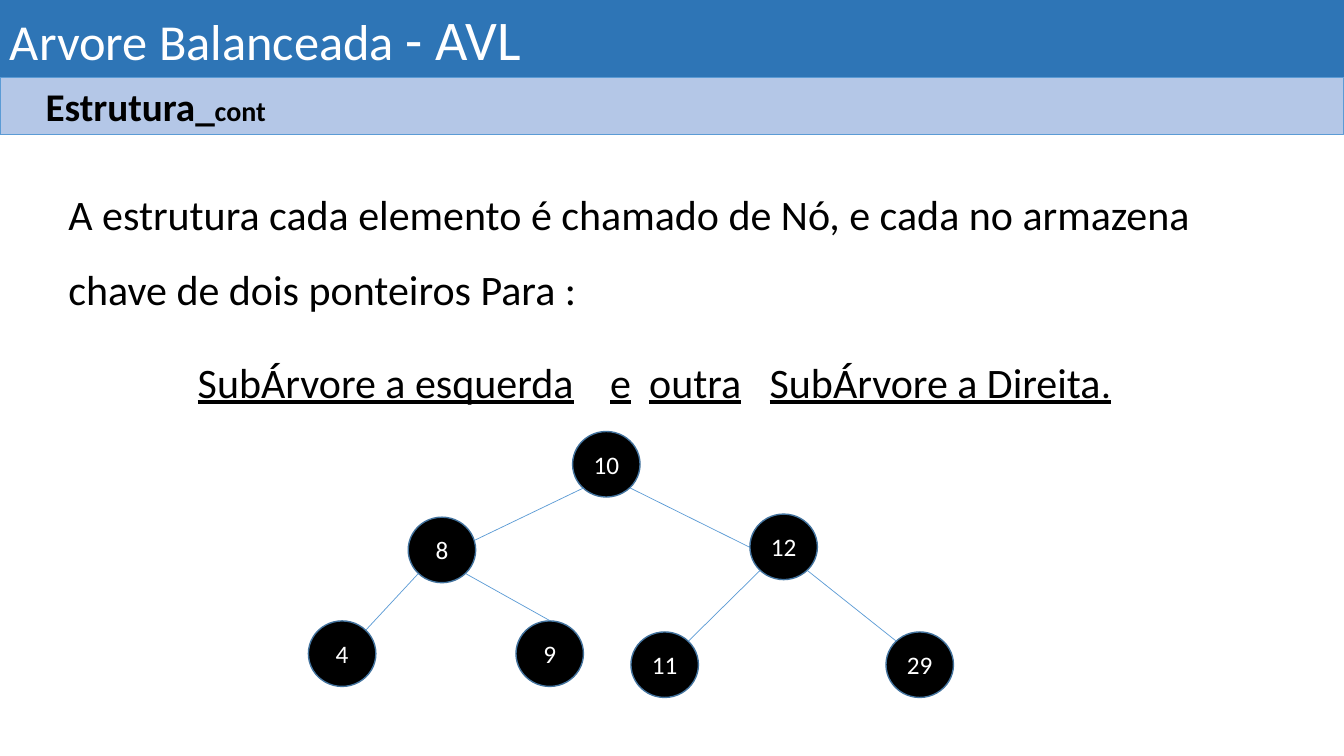
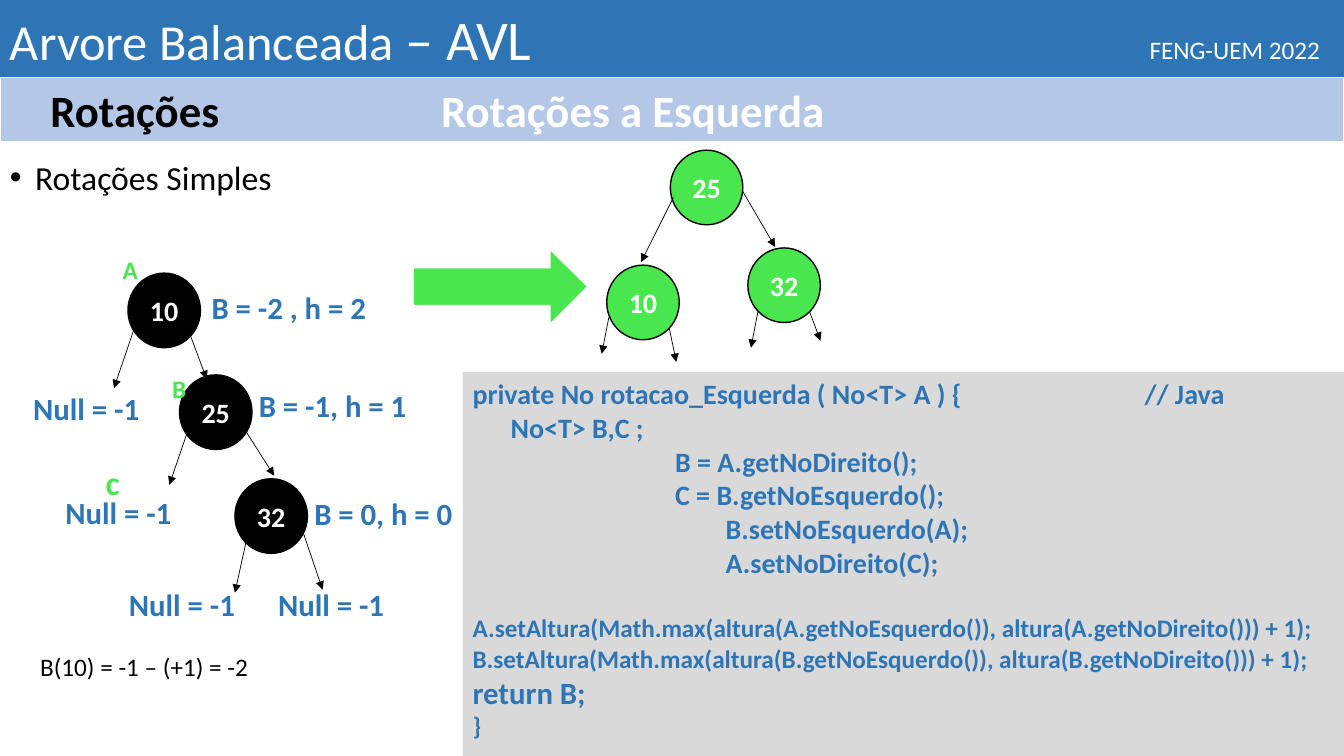
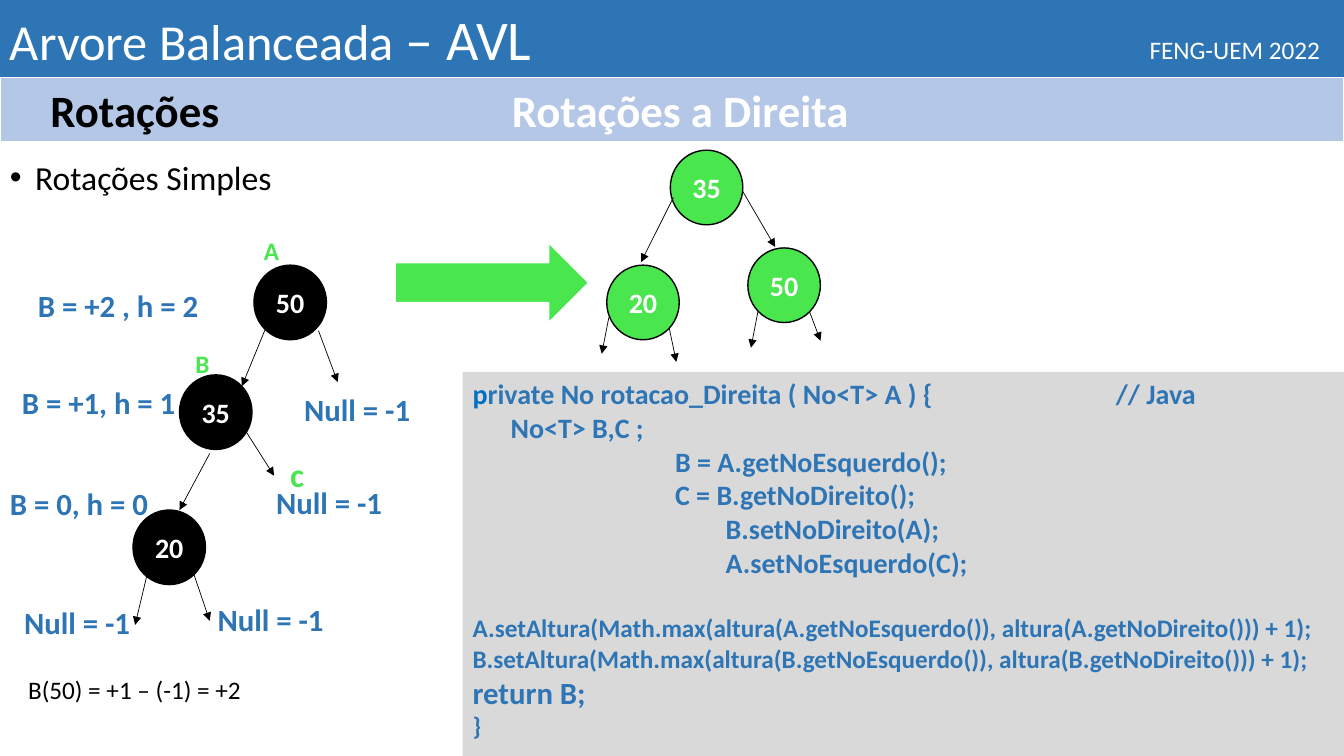
"""Builds three slides on AVL trees: node structure, left rotation and right rotation."""
from dataclasses import dataclass
from typing import NamedTuple

import lxml.etree
import pptx
import pptx.dml.color
import pptx.enum.shapes
import pptx.enum.text
import pptx.oxml.ns
import pptx.util

Pt = pptx.util.Pt
qn = pptx.oxml.ns.qn
SHAPE = pptx.enum.shapes.MSO_SHAPE
ANCHOR = pptx.enum.text.MSO_ANCHOR
ALIGN = pptx.enum.text.PP_ALIGN

FONT = "Calibri"
WIDTH, HEIGHT = 960, 540
BAND_HEIGHT = 55.4
BLUE, PALE_BLUE, EDGE_BLUE, NODE_BLUE = "2E75B6", "B4C7E7", "5B9BD5", "43739E"
BLACK, WHITE, GREEN, GREY, BRIGHT_BLUE = "000000", "FFFFFF", "4AE64E", "D9D9D9", "0070C0"


class Box(NamedTuple):
    left: float
    top: float
    width: float
    height: float


class Edge(NamedTuple):
    x1: float
    y1: float
    x2: float
    y2: float


class Run(NamedTuple):
    text: str
    size: float
    color: str = BLACK
    bold: bool = False
    underline: bool = False


class Label(NamedTuple):
    text: str
    left: float
    top: float


class Node(NamedTuple):
    text: str
    left: float
    top: float


@dataclass(frozen=True)
class Line:
    runs: tuple[Run, ...]
    spacing: float = 1.0
    before: float = 0
    tabs: tuple[float, ...] = ()
    bullet: str = ""
    align: ALIGN = ALIGN.LEFT


@dataclass(frozen=True)
class NodeStyle:
    width: float
    height: float
    fill: str
    outline: str
    size: float
    bold: bool


@dataclass(frozen=True)
class Rotation:
    heading: str
    heading_left: float
    nodes: tuple[Node, ...]
    edges: tuple[Edge, ...]
    balances: tuple[Label, ...]
    markers: tuple[Label, ...]
    formula: Label
    arrow: Box
    rotated_keys: tuple[str, str, str]
    signature: tuple[Run, ...]
    comment_tab: float
    first_side: str
    second_side: str


STRUCTURE_NODE = NodeStyle(48.2, 46.8, BLACK, NODE_BLUE, 18, False)
BEFORE_NODE = NodeStyle(51.8, 53.3, BLACK, BLACK, 20, True)
AFTER_NODE = NodeStyle(51.8, 53.3, GREEN, BLACK, 20, True)

STRUCTURE_TREE = (
    Node("10", 409, 308.2), Node("8", 291.6, 369.4), Node("12", 535.7, 367.2),
    Node("4", 220.3, 443.5), Node("9", 368.6, 443.5),
    Node("11", 450.7, 451.4), Node("29", 632.9, 451.4),
)
STRUCTURE_EDGES = (
    Edge(339.1, 385.9, 416.9, 348.5), Edge(535.7, 391, 450, 348.5),
    Edge(261.4, 450, 298.8, 409.7), Edge(393.1, 443.5, 332.6, 409.7),
    Edge(491.8, 457.9, 542.9, 407.5), Edge(640.1, 457.9, 576.7, 407.5),
)
ROTATED_PLACES = ((478.8, 107.3), (433.4, 189.4), (534.2, 177.1))
ROTATED_EDGES = (
    Edge(530.6, 136.8, 553.7, 176.4), Edge(481, 141.1, 457.9, 187.2),
    Edge(578.2, 222.5, 586.1, 243.4), Edge(541.4, 222.5, 536.4, 248.4),
    Edge(434.9, 226.8, 429.8, 252.7), Edge(478.1, 234.7, 483.1, 258.5),
)

ROTATIONS = (
    Rotation(
        heading="Rotações a Esquerda",
        heading_left=308,
        nodes=(Node("10", 91.4, 195.1), Node("25", 128.2, 267.8), Node("32", 167.8, 342)),
        edges=(
            Edge(133.9, 234, 147.6, 270.7), Edge(175.7, 308.2, 195.8, 339.8),
            Edge(140.4, 289.4, 121, 346.3), Edge(100.8, 220.3, 81.4, 277.2),
            Edge(175.7, 387.4, 167.8, 423.4), Edge(216, 378.7, 230.4, 421.2),
        ),
        balances=(
            Label("Null = -1", 39.6, 349.2), Label("Null = -1", 191.5, 414.7),
            Label("Null = -1", 85, 414.7), Label("Null = -1", 16.6, 275),
            Label("B = -1, h = 1", 177.8, 272.9), Label("B = -2 , h = 2", 144, 203),
            Label("B = 0, h = 0", 217.4, 349.9),
        ),
        markers=(Label("A", 80.6, 177.8), Label("B", 115.9, 262.8), Label("c", 68.4, 326.2)),
        formula=Label("B(10) = -1 – (+1) = -2", 21.6, 461.5),
        arrow=Box(295.2, 177.8, 124.6, 54),
        rotated_keys=("25", "10", "32"),
        signature=(Run("private No rotacao_Esquerda ( No<T> A ) {\t// Java", 20, BLUE, True),),
        comment_tab=480,
        first_side="Direito",
        second_side="Esquerdo",
    ),
    Rotation(
        heading="Rotações a Direita",
        heading_left=358.6,
        nodes=(Node("50", 181.4, 189.4), Node("35", 128.2, 267.8), Node("20", 95, 364.3)),
        edges=(
            Edge(227.5, 236.2, 241.2, 272.9), Edge(175.7, 308.2, 195.8, 339.8),
            Edge(149.8, 324, 128.2, 364.3), Edge(189.4, 235.4, 172.8, 275.8),
            Edge(105.1, 410.4, 96.5, 446.4), Edge(135.4, 401, 149.8, 443.5),
        ),
        balances=(
            Label("Null = -1", 190.1, 342), Label("Null = -1", 148.3, 425.5),
            Label("Null = -1", 10.1, 427.7), Label("Null = -1", 210.2, 275.8),
            Label("B = +1, h = 1", 8.6, 270.7), Label("B = +2 , h = 2", 20, 200.9),
            Label("B = 0, h = 0", 0, 342.7),
        ),
        markers=(Label("A", 181.4, 164.9), Label("B", 132.5, 245.5), Label("c", 200.2, 320.4)),
        formula=Label("B(50) = +1 – (-1) = +2", 13, 478.1),
        arrow=Box(282.2, 173.5, 138.2, 56.9),
        rotated_keys=("35", "20", "50"),
        signature=(
            Run("p", 20, BRIGHT_BLUE, True),
            Run("rivate No rotacao_Direita ( No<T> A ) {\t// Java", 20, BLUE, True),
        ),
        comment_tab=459.5,
        first_side="Esquerdo",
        second_side="Direito",
    ),
)


def rgb(color: str) -> pptx.dml.color.RGBColor:
    return pptx.dml.color.RGBColor.from_string(color)


def write(frame, lines: tuple[Line, ...], anchor=ANCHOR.TOP, margin: float = 7.2) -> None:
    frame.word_wrap = True
    frame.vertical_anchor = anchor
    frame.margin_left = Pt(margin)
    frame.margin_right = Pt(min(margin, 7.2))
    frame.margin_top = frame.margin_bottom = Pt(3.6)
    for index, line in enumerate(lines):
        paragraph = frame.add_paragraph() if index else frame.paragraphs[0]
        properties = paragraph._p.get_or_add_pPr()
        if line.bullet:
            properties.set("marL", str(Pt(18)))
            properties.set("indent", str(-Pt(18)))
            lxml.etree.SubElement(properties, qn("a:buFont"), typeface="Arial")
            lxml.etree.SubElement(properties, qn("a:buChar"), char=line.bullet)
        if line.tabs:
            stops = lxml.etree.SubElement(properties, qn("a:tabLst"))
            for stop in line.tabs:
                lxml.etree.SubElement(stops, qn("a:tab"), pos=str(Pt(stop)), algn="l")
        paragraph.alignment = line.align
        paragraph.line_spacing = line.spacing
        paragraph.space_before = Pt(line.before)
        for piece in line.runs:
            run = paragraph.add_run()
            run.text = piece.text
            run.font.name = FONT
            run.font.size = Pt(piece.size)
            run.font.bold = piece.bold
            run.font.underline = piece.underline
            run.font.color.rgb = rgb(piece.color)


def add_text(slide, box: Box, *lines: Line) -> None:
    write(slide.shapes.add_textbox(*map(Pt, box)).text_frame, lines)


def add_figure(slide, kind: SHAPE, box: Box, fill: str, outline: str = "", weight: float = 1):
    figure = slide.shapes.add_shape(kind, *map(Pt, box))
    figure.shadow.inherit = False
    figure.fill.solid()
    figure.fill.fore_color.rgb = rgb(fill)
    if outline:
        figure.line.color.rgb = rgb(outline)
        figure.line.width = Pt(weight)
    else:
        figure.line.fill.background()
    return figure


def add_node(slide, node: Node, style: NodeStyle) -> None:
    box = Box(node.left, node.top, style.width, style.height)
    circle = add_figure(slide, SHAPE.OVAL, box, style.fill, style.outline)
    key = Run(node.text, style.size, WHITE, style.bold)
    write(circle.text_frame, (Line((key,), align=ALIGN.CENTER),), ANCHOR.MIDDLE, margin=0)


def add_edge(slide, edge: Edge, color: str, arrowhead: bool) -> None:
    link = slide.shapes.add_connector(
        pptx.enum.shapes.MSO_CONNECTOR.STRAIGHT, *map(Pt, edge))
    link.line.color.rgb = rgb(color)
    link.line.width = Pt(0.5)
    if arrowhead:
        lxml.etree.SubElement(link.line._get_or_add_ln(), qn("a:tailEnd"), type="triangle")
    lxml.etree.SubElement(link._element.spPr, qn("a:effectLst"))


def add_tree(slide, nodes, edges, style: NodeStyle, color: str, arrowhead: bool) -> None:
    for node in nodes:
        add_node(slide, node, style)
    for edge in edges:
        add_edge(slide, edge, color, arrowhead)


def add_bands(slide, suffix: str, topic: tuple[Run, ...], height: float,
              outline: str, margin: float) -> None:
    title = add_figure(slide, SHAPE.RECTANGLE, Box(0, 0, WIDTH, BAND_HEIGHT), BLUE)
    write(title.text_frame, (
        Line((Run("Arvore Balanceada ", 36, WHITE), Run(suffix, 40, WHITE))),))
    subtitle = add_figure(
        slide, SHAPE.RECTANGLE, Box(0, BAND_HEIGHT, WIDTH, height), PALE_BLUE, outline, 0.75)
    write(subtitle.text_frame, (Line(topic),), margin=margin)


def code_lines(rotation: Rotation) -> tuple[Line, ...]:
    first, second = rotation.first_side, rotation.second_side
    body = (
        " " * 6 + "No<T> B,C ;",
        " " * 32 + f"B = A.getNo{first}();",
        " " * 32 + f"C = B.getNo{second}();",
        " " * 40 + f"B.setNo{second}(A);",
        " " * 40 + f"A.setNo{first}(C);",
    )
    heights = tuple(
        Line((Run(f"{name}.setAltura(Math.max(altura({name}.getNoEsquerdo()), "
                  f"altura({name}.getNoDireito())) + 1);", 18, BLUE, True),), before=gap)
        for name, gap in (("A", 24.4), ("B", 0)))
    return (
        Line(rotation.signature, tabs=(rotation.comment_tab,)),
        *(Line((Run(text, 20, BLUE, True),)) for text in body),
        *heights,
        Line((Run("return B;", 22, BLUE, True),)),
        Line((Run("}", 18, BLUE, True),)),
    )


def draw_structure(slide) -> None:
    add_bands(slide, "- AVL", (Run("Estrutura_", 28, bold=True), Run("cont", 20, bold=True)),
              41, EDGE_BLUE, 32.5)
    add_text(slide, Box(41.8, 113, 866, 118), Line((Run(
        "A estrutura cada elemento é chamado de Nó, e cada no armazena "
        "chave de dois ponteiros Para :", 30),), spacing=1.5))
    add_text(slide, Box(134.2, 232.8, 740, 64), Line((
        Run("SubÁrvore a esquerda\te\toutra\tSubÁrvore a Direita", 30, underline=True),
        Run(".", 28, underline=True)), spacing=1.5, tabs=(294.5, 322.5, 408.5)))
    add_tree(slide, STRUCTURE_TREE, STRUCTURE_EDGES, STRUCTURE_NODE, EDGE_BLUE, False)


def draw_rotation(slide, rotation: Rotation) -> None:
    add_bands(slide, "– AVL", (Run("Rotações", 32, bold=True),), 46, WHITE, 36)
    add_text(slide, Box(814, 21, 140, 29), Line((Run("FENG-UEM 2022", 18, WHITE),)))
    add_text(slide, Box(rotation.heading_left, BAND_HEIGHT, 330, 46),
             Line((Run(rotation.heading, 32, WHITE, True),)))
    add_text(slide, Box(0, 111.6, 280, 34),
             Line((Run("Rotações Simples", 24),), spacing=0.9, bullet="•"))
    add_tree(slide, rotation.nodes, rotation.edges, BEFORE_NODE, BLACK, True)
    add_text(slide, Box(rotation.formula.left, rotation.formula.top, 300, 29),
             Line((Run(rotation.formula.text, 18),)))
    for balance in rotation.balances:
        add_text(slide, Box(balance.left, balance.top, 135, 34),
                 Line((Run(balance.text, 22, BLUE, True),)))
    add_figure(slide, SHAPE.RIGHT_ARROW, rotation.arrow, GREEN, WHITE)
    for marker in rotation.markers:
        size = 24 if marker.text == "c" else 18
        add_text(slide, Box(marker.left, marker.top, 28, size * 2),
                 Line((Run(marker.text, size, GREEN, True),)))
    rotated = tuple(
        Node(key, *place) for key, place in zip(rotation.rotated_keys, ROTATED_PLACES))
    add_tree(slide, rotated, ROTATED_EDGES, AFTER_NODE, BLACK, True)
    left, top = 330.5, 265.7
    code = add_figure(slide, SHAPE.RECTANGLE, Box(left, top, WIDTH - left, HEIGHT - top), GREY)
    write(code.text_frame, code_lines(rotation))


def main() -> None:
    deck = pptx.Presentation()
    deck.slide_width, deck.slide_height = Pt(WIDTH), Pt(HEIGHT)
    blank = deck.slide_layouts[6]
    draw_structure(deck.slides.add_slide(blank))
    for rotation in ROTATIONS:
        draw_rotation(deck.slides.add_slide(blank), rotation)
    deck.save("out.pptx")


if __name__ == "__main__":
    main()
